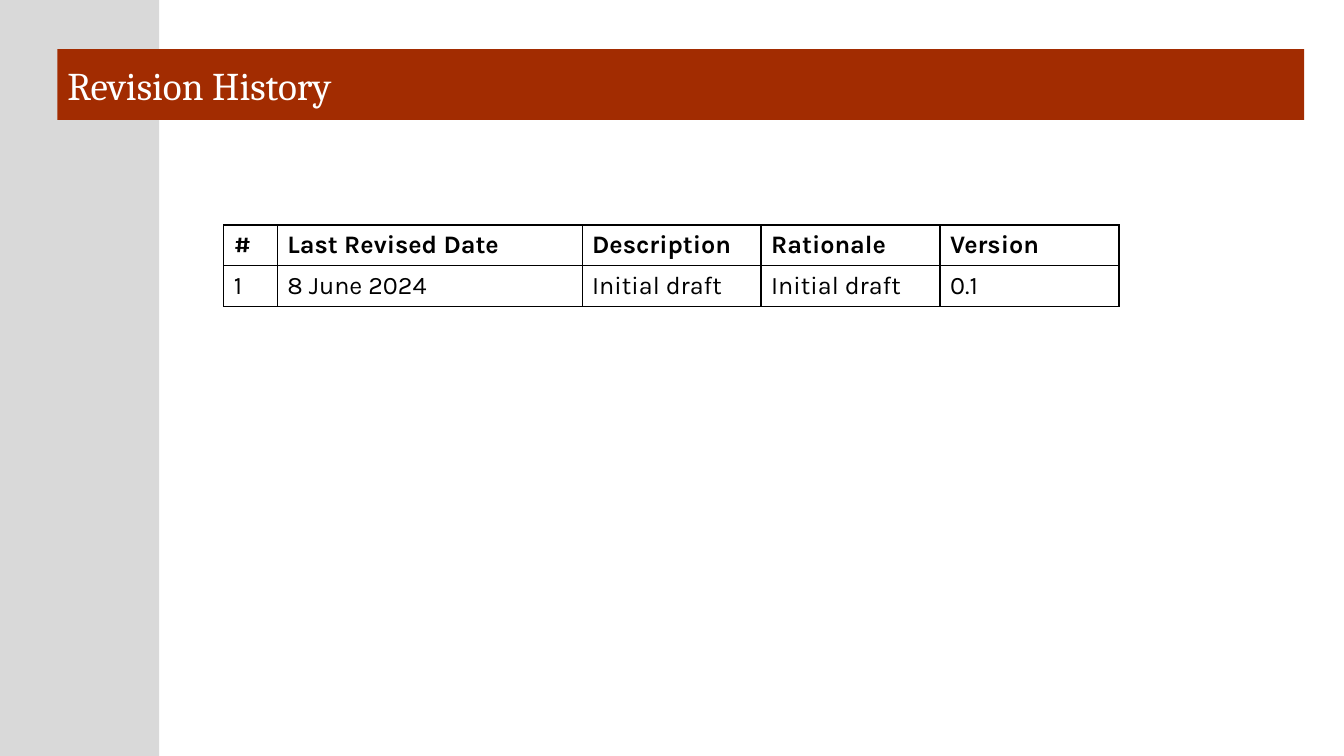
from dataclasses import dataclass

from lxml import etree
from pptx import Presentation
from pptx.dml.color import RGBColor
from pptx.enum import shapes, text
from pptx.oxml import ns
from pptx.util import Cm, Pt


@dataclass(frozen=True)
class Theme:
    sidebar: str = "D9D9D9"
    banner: str = "A22C01"
    paper: str = "FFFFFF"
    ink: str = "000000"
    title_font: str = "Cambria"
    body_font: str = "Karla"
    title_size: int = 28
    body_size: int = 18
    border_width: int = 1


THEME = Theme()
COLUMN_WIDTHS = (1.35, 7.68, 4.51, 4.51, 4.51)
ROW_HEIGHT = 1.03
REVISIONS = (
    ("#", "Last Revised Date", "Description", "Rationale", "Version"),
    ("1", "8 June 2024", "Initial draft", "Initial draft", "0.1"),
)


def paint(fill, color):
    fill.solid()
    fill.fore_color.rgb = RGBColor.from_string(color)


def write(frame, words, color, **format_values):
    para = frame.paragraphs[0]
    para.alignment = text.PP_ALIGN.LEFT
    span = para.add_run()
    span.text = words
    span.font.color.rgb = RGBColor.from_string(color)
    for name, value in format_values.items():
        setattr(span.font, name, value)


def add_block(page, left, top, width, height, color):
    box = page.shapes.add_shape(
        shapes.MSO_SHAPE.RECTANGLE, Cm(left), Cm(top), Cm(width), Cm(height))
    box.shadow.inherit = False
    paint(box.fill, color)
    box.line.fill.background()
    return box


def add_title(page, words):
    box = add_block(page, 1.45, 1.24, 31.42, 1.78, THEME.banner)
    box.text_frame.vertical_anchor = text.MSO_ANCHOR.MIDDLE
    write(box.text_frame, words, THEME.paper,
          name=THEME.title_font, size=Pt(THEME.title_size))


def add_borders(cell):
    """Draw all four sides; the lines must precede the fill in the XML."""
    properties = cell._tc.get_or_add_tcPr()
    for index, side in enumerate(("lnL", "lnR", "lnT", "lnB")):
        line = etree.Element(ns.qn(f"a:{side}"), w=str(Pt(THEME.border_width)))
        fill = etree.SubElement(line, ns.qn("a:solidFill"))
        etree.SubElement(fill, ns.qn("a:srgbClr"), val=THEME.ink)
        properties.insert(index, line)


def add_revision_table(page, left, top):
    table = page.shapes.add_table(
        len(REVISIONS), len(COLUMN_WIDTHS), Cm(left), Cm(top),
        Cm(sum(COLUMN_WIDTHS)), Cm(ROW_HEIGHT * len(REVISIONS))).table
    table.horz_banding = False
    table.first_row = False
    for column, width in zip(table.columns, COLUMN_WIDTHS):
        column.width = Cm(width)
    for row_number, (row, entries) in enumerate(zip(table.rows, REVISIONS)):
        row.height = Cm(ROW_HEIGHT)
        for cell, words in zip(row.cells, entries):
            paint(cell.fill, THEME.paper)
            add_borders(cell)
            write(cell.text_frame, words, THEME.ink, name=THEME.body_font,
                  size=Pt(THEME.body_size), bold=row_number == 0)


def main():
    deck = Presentation()
    deck.slide_width, deck.slide_height = Cm(33.87), Cm(19.05)
    page = deck.slides.add_slide(deck.slide_layouts[6])
    paint(page.background.fill, THEME.paper)
    add_block(page, 0, 0, 4.01, 19.05, THEME.sidebar)
    add_title(page, "Revision History")
    add_revision_table(page, 5.64, 5.67)
    deck.save("out.pptx")


if __name__ == "__main__":
    main()
